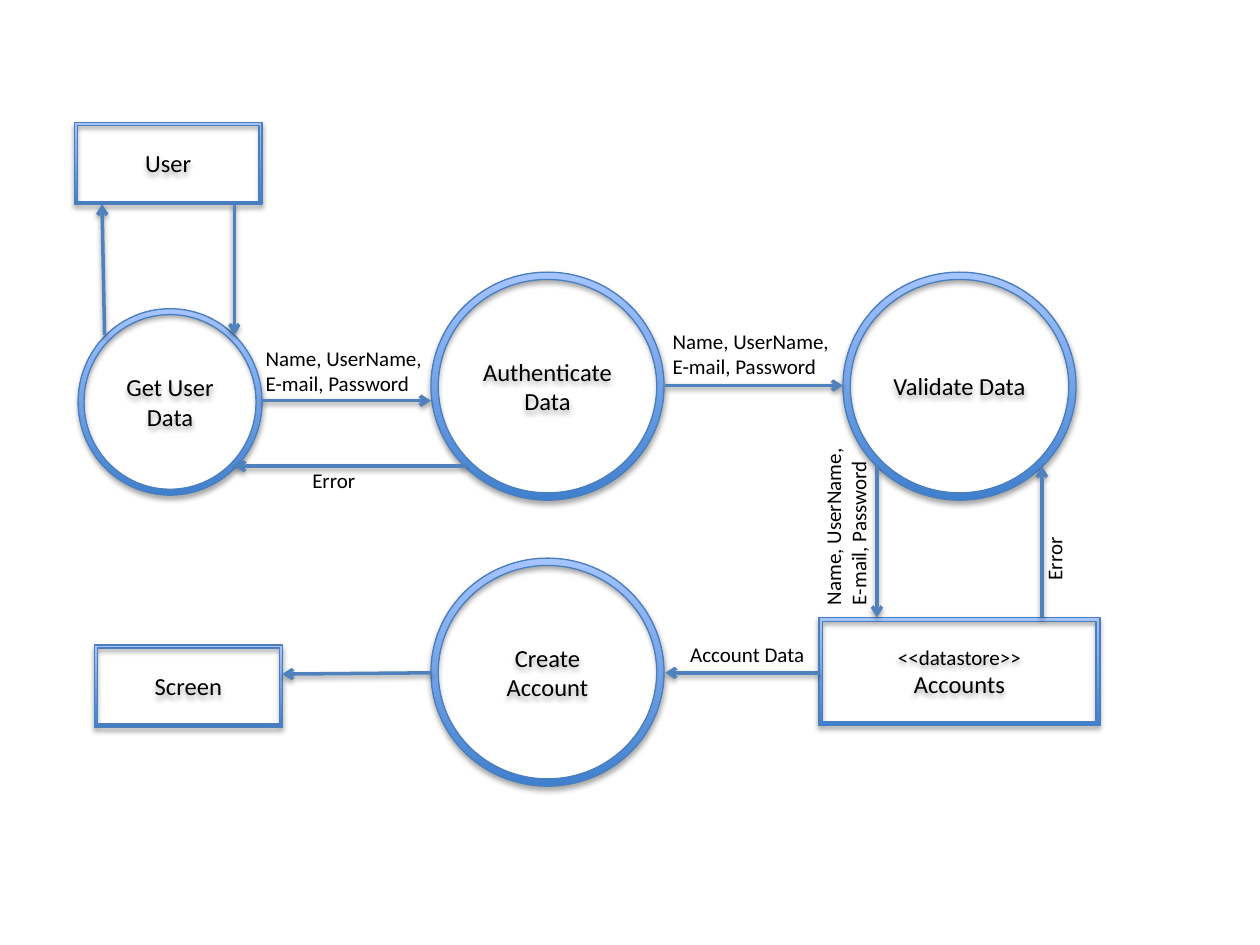
import lxml.etree
import pptx
import pptx.dml.color
import pptx.enum.shapes
import pptx.enum.text
import pptx.oxml.ns
import pptx.util

Inches = pptx.util.Inches
Pt = pptx.util.Pt
RGBColor = pptx.dml.color.RGBColor
SHAPES = pptx.enum.shapes.MSO_SHAPE
ALIGN = pptx.enum.text.PP_ALIGN
qn = pptx.oxml.ns.qn

BLACK = RGBColor(0x00, 0x00, 0x00)
DEEP_BLUE = RGBColor(0x3F, 0x80, 0xCE)
PALE_BLUE = RGBColor(0xA4, 0xC4, 0xFF)
OUTLINE = RGBColor(0x4B, 0x7E, 0xBC)
FLOW = RGBColor(0x4F, 0x81, 0xBD)


def add_shadow(item, distance, opacity):
    """Give a shape or connector a soft black shadow straight below it."""
    properties = item._element.spPr
    effects = properties.find(qn("a:effectLst"))
    if effects is None:
        effects = lxml.etree.SubElement(properties, qn("a:effectLst"))
    shadow = lxml.etree.SubElement(
        effects, qn("a:outerShdw"), blurRad=str(Pt(3.1)), dist=str(Pt(distance)),
        dir="5400000", rotWithShape="0")
    color = lxml.etree.SubElement(shadow, qn("a:srgbClr"), val=str(BLACK))
    lxml.etree.SubElement(color, qn("a:alpha"), val=str(opacity * 1000))


def write_lines(frame, lines, alignment):
    """Write (text, size) lines as black Calibri paragraphs."""
    for index, (text, size) in enumerate(lines):
        para = frame.add_paragraph() if index else frame.paragraphs[0]
        para.text = text
        para.alignment = alignment
        para.font.name = "Calibri"
        para.font.size = Pt(size)
        para.font.color.rgb = BLACK


deck = pptx.Presentation()
deck.slide_width, deck.slide_height = Inches(10), Inches(7.5)
page = deck.slides.add_slide(deck.slide_layouts[6])

# Entities are frames, processes are rings
nodes = [
    (SHAPES.FRAME, 0.59, 0.97, 1.49, 0.65, [("User", 14)]),
    (SHAPES.DONUT, 3.42, 2.16, 1.85, 1.81, [("Authenticate Data", 14)]),
    (SHAPES.DONUT, 0.62, 2.45, 1.46, 1.48, [("Get User Data", 14)]),
    (SHAPES.DONUT, 6.69, 2.16, 1.85, 1.81, [("Validate Data", 14)]),
    (SHAPES.FRAME, 6.50, 4.90, 2.23, 0.86, [("<<datastore>>", 12), ("Accounts", 14)]),
    (SHAPES.DONUT, 3.42, 4.43, 1.85, 1.81, [("Create Account", 14)]),
    (SHAPES.FRAME, 0.75, 5.12, 1.49, 0.65, [("Screen", 14)]),
]
for kind, left, top, width, height, lines in nodes:
    node = page.shapes.add_shape(
        kind, Inches(left), Inches(top), Inches(width), Inches(height))
    node.adjustments[0] = 0.032 if kind == SHAPES.DONUT else 0.036
    node.fill.gradient()
    node.fill.gradient_angle = 90
    for stop, color in zip(node.fill.gradient_stops, (DEEP_BLUE, PALE_BLUE)):
        stop.color.rgb = color
    node.line.color.rgb = OUTLINE
    node.line.width = Pt(0.75)
    node.shadow.inherit = False
    add_shadow(node, 1.8, 35)
    node.text_frame.word_wrap = True
    node.text_frame.vertical_anchor = pptx.enum.text.MSO_ANCHOR.MIDDLE
    write_lines(node.text_frame, lines, ALIGN.CENTER)

# Data flows: start x, start y, end x, end y
flows = [
    (1.86, 1.62, 1.86, 2.66),
    (0.83, 2.66, 0.81, 1.62),
    (2.08, 3.18, 3.42, 3.18),
    (3.70, 3.70, 1.86, 3.70),
    (5.28, 3.06, 6.69, 3.06),
    (6.96, 3.70, 6.96, 4.90),
    (8.27, 4.90, 8.27, 3.70),
    (3.42, 5.34, 2.24, 5.35),
    (6.50, 5.34, 5.28, 5.34),
]
for flow in flows:
    arrow = page.shapes.add_connector(
        pptx.enum.shapes.MSO_CONNECTOR.STRAIGHT, *map(Inches, flow))
    arrow.line.color.rgb = FLOW
    arrow.line.width = Pt(2)
    lxml.etree.SubElement(arrow.line._get_or_add_ln(), qn("a:tailEnd"), type="arrow")
    add_shadow(arrow, 1.6, 38)

# Flow labels: left, top, width, height, rotation, lines
credentials = ["Name, UserName,", "E-mail, Password"]
labels = [
    (2.38, 3.66, 0.55, 0.3, 0, ["Error"]),
    (2.01, 2.69, 1.46, 0.5, 0, credentials),
    (5.24, 2.56, 1.46, 0.5, 0, credentials),
    (8.09, 4.28, 0.55, 0.3, 270, ["Error"]),
    (5.98, 3.92, 1.46, 0.5, 270, credentials),
    (5.38, 5.04, 1.13, 0.3, 0, ["Account Data"]),
]
for left, top, width, height, rotation, lines in labels:
    box = page.shapes.add_textbox(
        Inches(left), Inches(top), Inches(width), Inches(height))
    box.rotation = rotation
    box.text_frame.word_wrap = False
    box.text_frame.auto_size = pptx.enum.text.MSO_AUTO_SIZE.SHAPE_TO_FIT_TEXT
    write_lines(box.text_frame, [(line, 12) for line in lines], ALIGN.LEFT)

deck.save("out.pptx")
